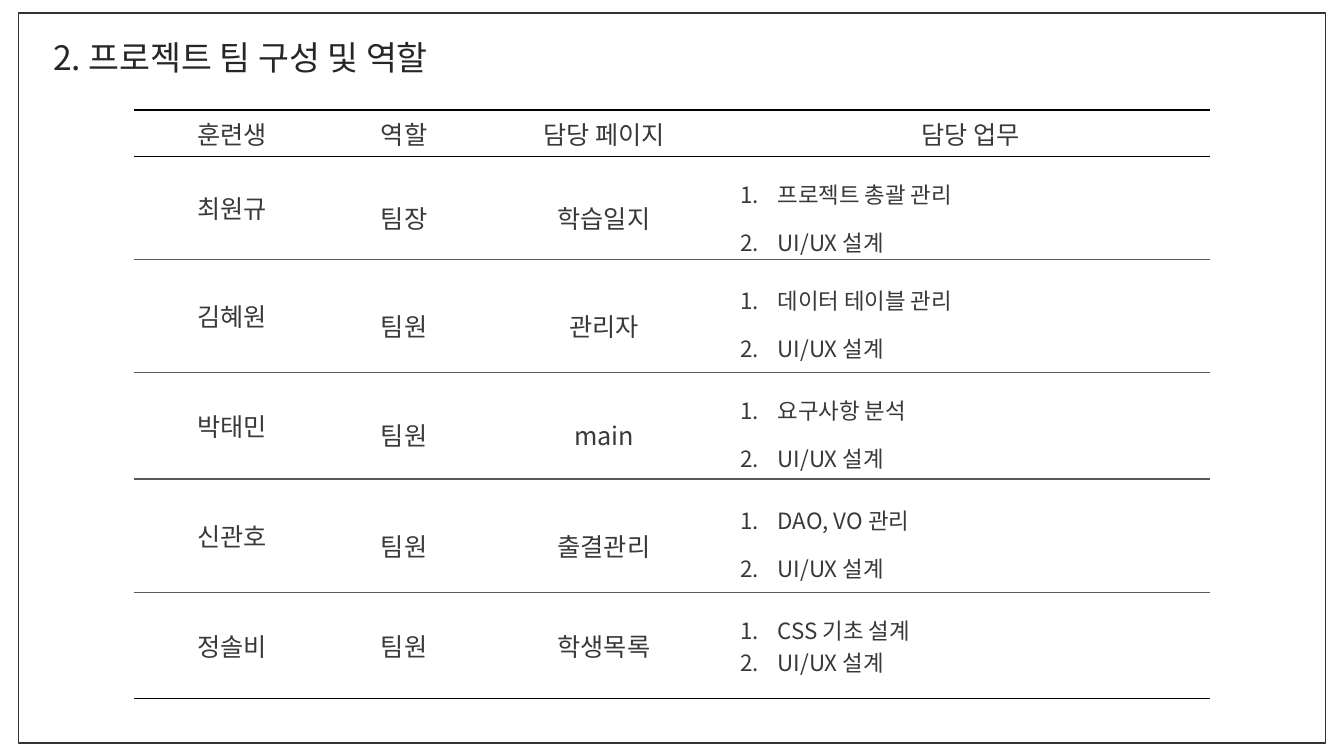
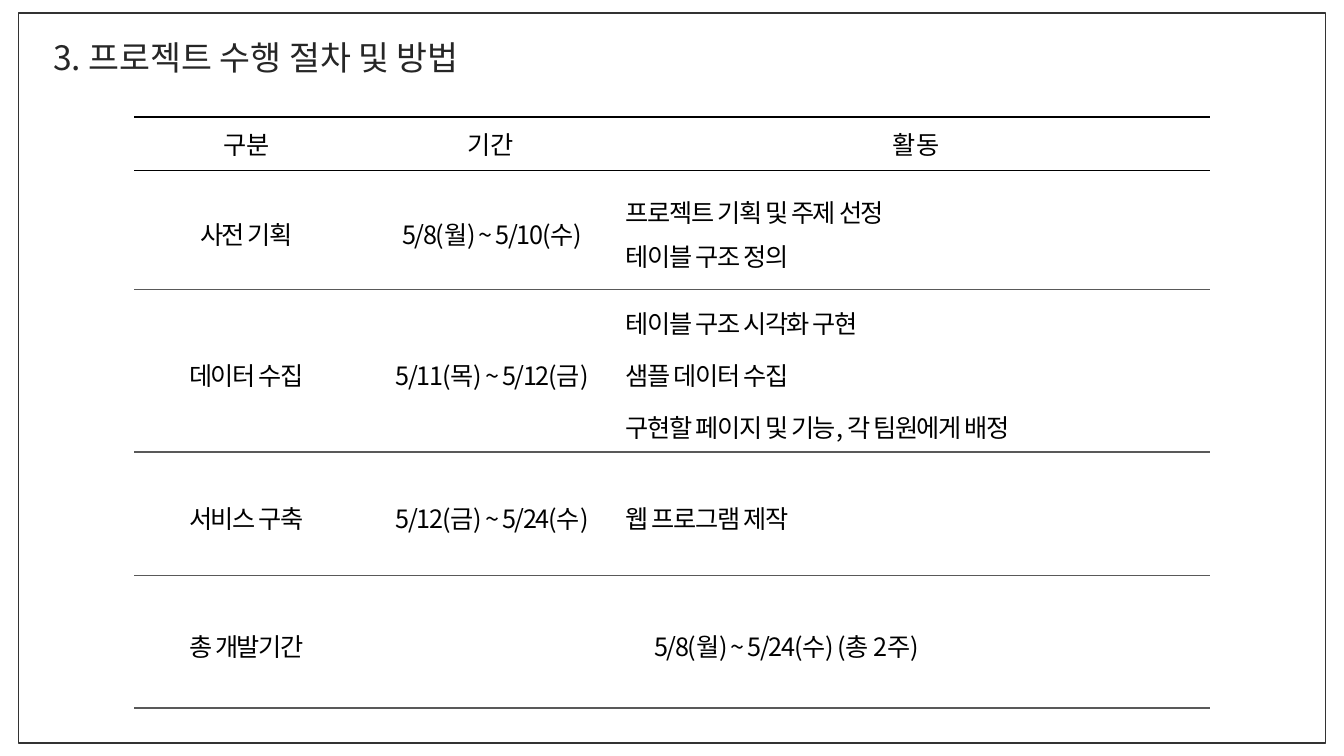
"""Build the project team and project schedule slides."""
import dataclasses

import lxml.etree
import pptx
import pptx.dml.color
import pptx.enum.shapes
import pptx.enum.text
import pptx.oxml.ns
import pptx.util

Cm = pptx.util.Cm
Pt = pptx.util.Pt
qn = pptx.oxml.ns.qn
ALIGN = pptx.enum.text.PP_ALIGN


@dataclasses.dataclass(frozen=True)
class Theme:
    """Colours, font and type sizes of the deck."""
    font: str = "Noto Sans CJK KR"
    title_ink: str = "262626"
    team_ink: str = "3B3838"
    schedule_ink: str = "000000"
    frame: str = "333333"
    strong_rule: str = "000000"
    soft_rule: str = "595959"
    paper: str = "FFFFFF"
    title_size: int = 24
    body_size: int = 18
    list_size: int = 16
    rule_width: int = 1
    plain_table: str = "{2D5ABB26-0587-4C30-8999-92F81FD0307C}"


@dataclasses.dataclass(frozen=True)
class CellStyle:
    """Typesetting of one table cell, insets in centimetres."""
    size: int = Theme.body_size
    align: int = ALIGN.CENTER
    spacing: float = 1.0
    before: int = 0
    tracking: int = 0
    numbered: bool = False
    insets: tuple = (0.25, 0.13, 0.25, 0.13)


class Deck:
    """Presentation style together with the slide being drawn."""

    def __init__(self, theme):
        """Start an empty widescreen deck."""
        self.theme = theme
        self.presentation = pptx.Presentation()
        self.presentation.slide_width = Cm(33.87)
        self.presentation.slide_height = Cm(19.05)
        self.slide = None

    def color(self, value):
        """Return a colour object for a hex value."""
        return pptx.dml.color.RGBColor.from_string(value)

    def page(self, heading):
        """Add a slide with its heading and outer frame."""
        self.slide = self.presentation.slides.add_slide(
            self.presentation.slide_layouts[6])
        self.title(heading)
        self.frame()

    def title(self, heading):
        """Write the slide heading."""
        box = self.slide.shapes.add_textbox(Cm(1.09), Cm(0.81), Cm(12.09), Cm(1.27))
        box.text_frame.word_wrap = True
        box.text_frame.auto_size = pptx.enum.text.MSO_AUTO_SIZE.SHAPE_TO_FIT_TEXT
        box.text_frame.text = heading
        self.set_font(box.text_frame.paragraphs[0], self.theme.title_size,
                      self.theme.title_ink)

    def frame(self):
        """Draw the thin border around the page."""
        border = self.slide.shapes.add_shape(
            pptx.enum.shapes.MSO_SHAPE.RECTANGLE,
            Cm(0.46), Cm(0.33), Cm(32.94), Cm(18.39))
        border.shadow.inherit = False
        border.fill.background()
        border.line.color.rgb = self.color(self.theme.frame)
        border.line.width = Pt(self.theme.rule_width)

    def set_font(self, paragraph, size, ink, tracking=0):
        """Set Latin and East Asian type for a paragraph."""
        font = paragraph.font
        font.size = Pt(size)
        font.color.rgb = self.color(ink)
        font.name = self.theme.font
        properties = paragraph._p.get_or_add_pPr().find(qn("a:defRPr"))
        east_asian = lxml.etree.Element(qn("a:ea"), typeface=self.theme.font)
        properties.find(qn("a:latin")).addnext(east_asian)
        if tracking:
            properties.set("spc", str(tracking * 100))

    def number(self, paragraph):
        """Turn a paragraph into a numbered list item."""
        properties = paragraph._p.get_or_add_pPr()
        indent = Cm(0.95)
        properties.set("marL", str(indent))
        properties.set("indent", str(-indent))
        lxml.etree.SubElement(properties, qn("a:buAutoNum"), type="arabicPeriod")

    def rule(self, cell, position, side, ink):
        """Draw one horizontal edge of a cell."""
        edge = lxml.etree.Element(qn(side), w=str(Pt(self.theme.rule_width)))
        fill = lxml.etree.SubElement(edge, qn("a:solidFill"))
        lxml.etree.SubElement(fill, qn("a:srgbClr"), val=ink)
        cell._tc.get_or_add_tcPr().insert(position, edge)

    def cell(self, cell, text, style, ink):
        """Fill one cell with styled text."""
        cell.vertical_anchor = pptx.enum.text.MSO_ANCHOR.MIDDLE
        (cell.margin_left, cell.margin_top,
         cell.margin_right, cell.margin_bottom) = map(Cm, style.insets)
        cell.text_frame.text = text
        for paragraph in cell.text_frame.paragraphs:
            paragraph.alignment = style.align
            if style.numbered:
                self.number(paragraph)
            paragraph.line_spacing = style.spacing
            paragraph.space_before = Pt(style.before)
            self.set_font(paragraph, style.size, ink, style.tracking)

    def table(self, top, widths, heights, header, body, ink, closing_rule):
        """Draw a table whose body rows pair texts with cell styles."""
        shape = self.slide.shapes.add_table(
            len(heights), len(widths), Cm(3.38), Cm(top),
            Cm(sum(widths)), Cm(sum(heights)))
        table = shape.table
        table.first_row = table.horz_banding = False
        table._tbl.tblPr.find(qn("a:tableStyleId")).text = self.theme.plain_table
        for column, width in zip(table.columns, widths):
            column.width = Cm(width)
        for row, height in zip(table.rows, heights):
            row.height = Cm(height)
        rows = [(header, [CellStyle()] * len(header))] + body
        rules = [self.theme.strong_rule] * 2
        rules += [self.theme.soft_rule] * (len(rows) - 2) + [closing_rule]
        for index, (texts, styles) in enumerate(rows):
            for column in range(len(widths)):
                cell = table.cell(index, column)
                if index:
                    cell.fill.solid()
                    cell.fill.fore_color.rgb = self.color(self.theme.paper)
                else:
                    cell.fill.background()
                self.rule(cell, 0, "a:lnT", rules[index])
                self.rule(cell, 1, "a:lnB", rules[index + 1])
            for column, (text, style) in enumerate(zip(texts, styles)):
                self.cell(table.cell(index, column), text, style, ink)
            if len(texts) < len(widths):
                table.cell(index, len(texts) - 1).merge(
                    table.cell(index, len(widths) - 1))


def team_slide(deck):
    """Show who is on the team and what each member does."""
    deck.page("2. 프로젝트 팀 구성 및 역할")
    name = CellStyle()
    role = CellStyle(spacing=1.5)
    duties = CellStyle(size=deck.theme.list_size, align=ALIGN.LEFT,
                       spacing=1.5, numbered=True)
    members = [
        ("최원규", "팀장", "학습일지", "프로젝트 총괄 관리"),
        ("김혜원", "팀원", "관리자", "데이터 테이블 관리"),
        ("박태민", "팀원", "main", "요구사항 분석"),
        ("신관호", "팀원", "출결관리", "DAO, VO 관리"),
        ("정솔비", "팀원", "학생목록", "CSS 기초 설계"),
    ]
    body = [((*member[:3], f"{member[3]}\nUI/UX 설계"), [name, role, role, duties])
            for member in members]
    compact = [dataclasses.replace(style, spacing=1.0) for style in body[-1][1]]
    body[-1] = (body[-1][0], compact)
    deck.table(2.77, [4.95, 3.71, 6.36, 12.1],
               [1.17, 2.6, 2.84, 2.69, 2.87, 2.67],
               ["훈련생", "역할", "담당 페이지", "담당 업무"],
               body, deck.theme.team_ink, deck.theme.strong_rule)


def schedule_slide(deck):
    """Show the phases, their dates and activities."""
    deck.page("3. 프로젝트 수행 절차 및 방법")
    phase = CellStyle(spacing=1.2, before=6, tracking=-1,
                      insets=(0.23, 0.13, 0.23, 0.13))
    period = dataclasses.replace(phase, insets=(0.1, 0, 0, 0))
    activity = dataclasses.replace(period, align=ALIGN.LEFT)
    tight_activity = dataclasses.replace(activity, before=0)
    body = [
        (("사전 기획", "5/8(월) ~ 5/10(수)",
          "프로젝트 기획 및 주제 선정\n테이블 구조 정의"),
         [phase, period, tight_activity]),
        (("데이터 수집", "5/11(목) ~ 5/12(금)",
          "테이블 구조 시각화 구현\n샘플 데이터 수집\n"
          "구현할 페이지 및 기능, 각 팀원에게 배정"),
         [phase, period, activity]),
        (("서비스 구축", "5/12(금) ~ 5/24(수)", "웹 프로그램 제작"),
         [phase, period, activity]),
        (("총 개발기간", "5/8(월) ~ 5/24(수) (총 2주)"), [phase, period]),
    ]
    deck.table(2.95, [5.66, 6.63, 14.83], [1.35, 3, 4.09, 3.12, 3.33],
               ["구분", "기간", "활동"],
               body, deck.theme.schedule_ink, deck.theme.soft_rule)


def main():
    """Build and save the deck."""
    deck = Deck(Theme())
    team_slide(deck)
    schedule_slide(deck)
    deck.presentation.save("out.pptx")


if __name__ == "__main__":
    main()
